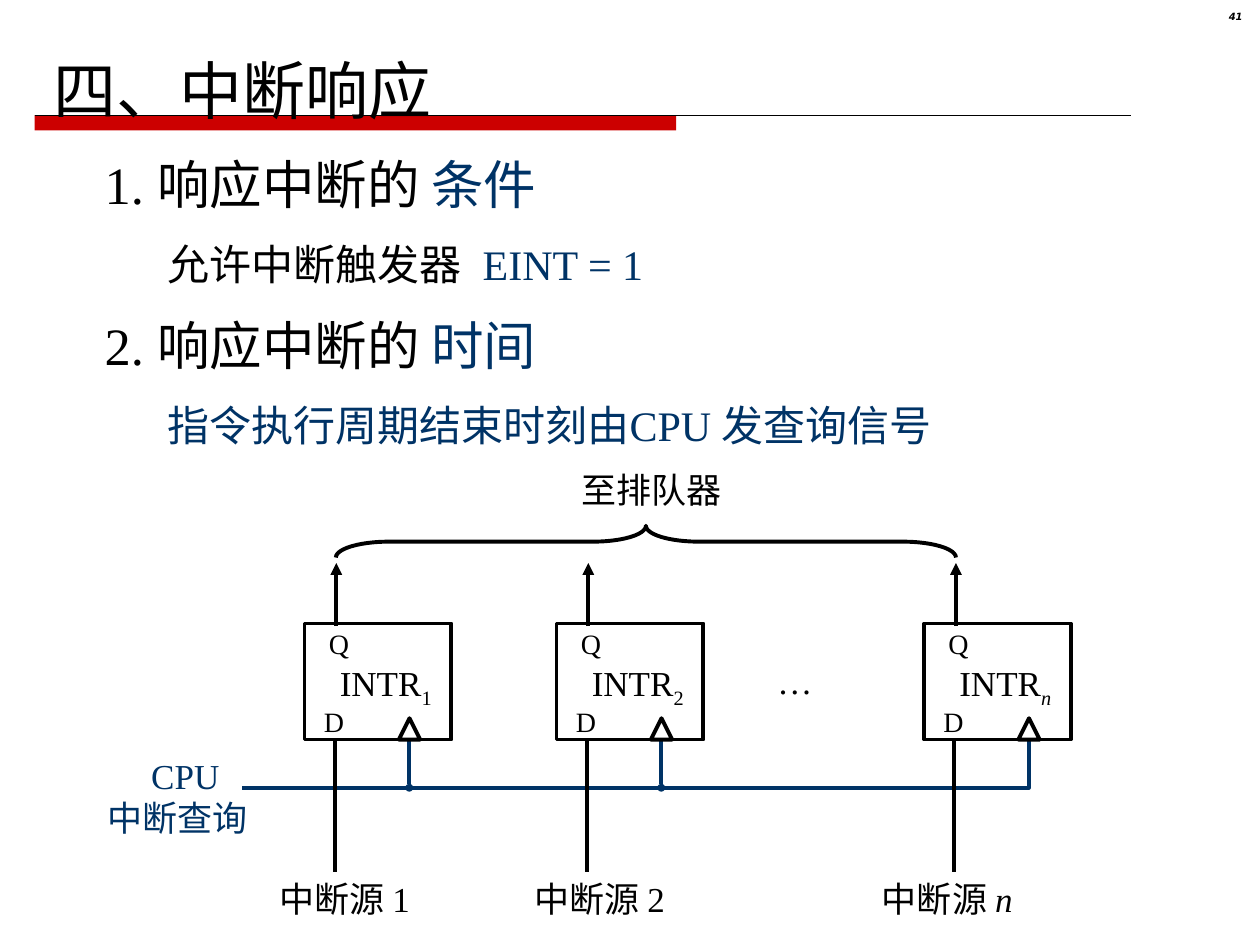
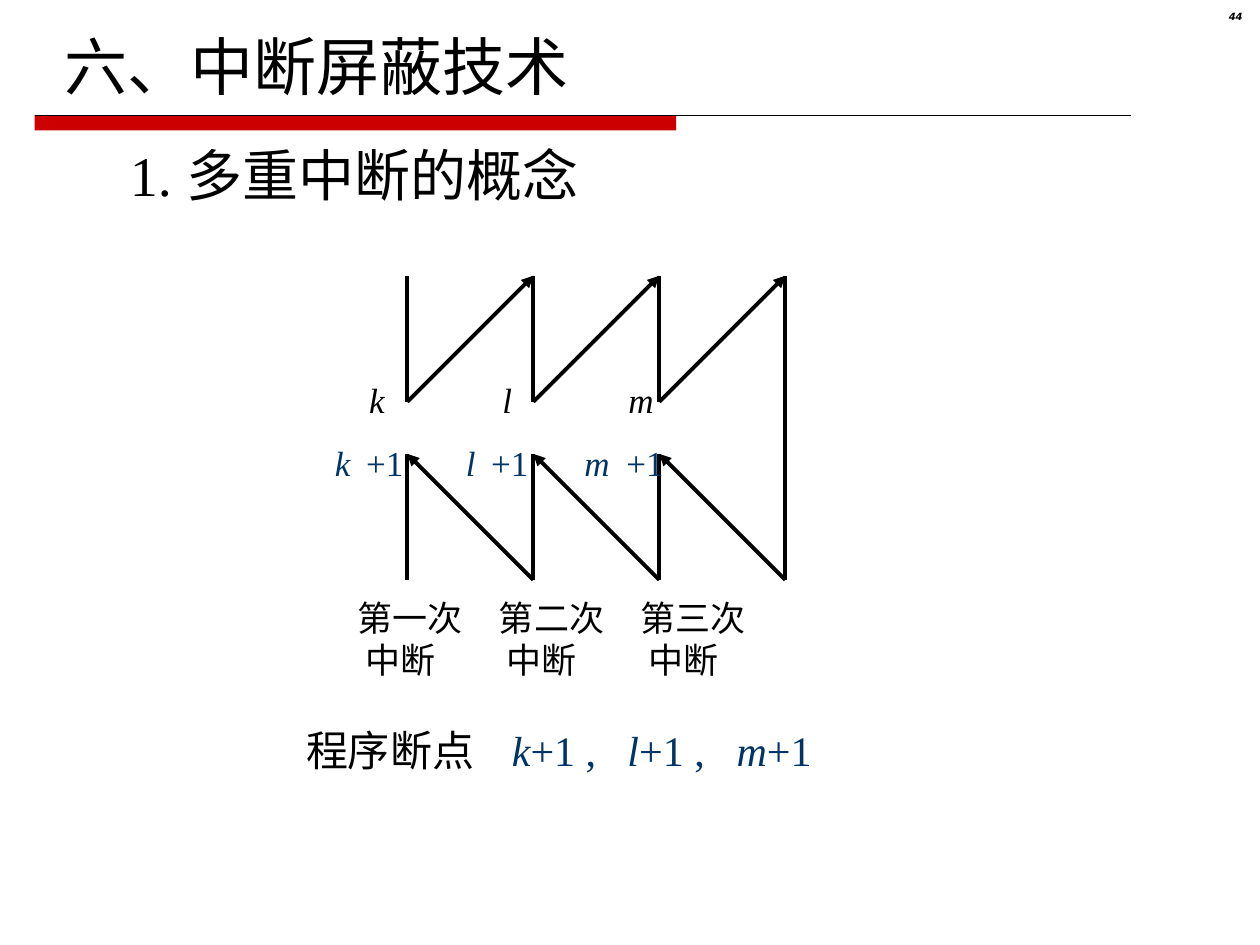
import pptx
import pptx.util
import pptx.dml.color
import pptx.enum.shapes
import pptx.enum.text
import pptx.oxml.ns
from lxml import etree

Cm = pptx.util.Cm
Pt = pptx.util.Pt
RGBColor = pptx.dml.color.RGBColor
MSO_SHAPE = pptx.enum.shapes.MSO_SHAPE
PP_ALIGN = pptx.enum.text.PP_ALIGN
qn = pptx.oxml.ns.qn

COLORS = {"ink": "000000", "accent": "003366", "band": "CC0000"}
FONT = "Times New Roman"
LINE_WIDTH = 2.25


def write(shape, box, lines, size, tabs=()):
    shape.left, shape.top, shape.width, shape.height = [Cm(length) for length in box]
    frame = shape.text_frame
    frame.auto_size = pptx.enum.text.MSO_AUTO_SIZE.NONE
    frame.word_wrap = bool(tabs) or shape.is_placeholder
    if shape.is_placeholder:
        frame.margin_left = frame.margin_right = frame.margin_top = frame.margin_bottom = 0
        frame.vertical_anchor = pptx.enum.text.MSO_ANCHOR.MIDDLE
    for index, line in enumerate(lines):
        paragraph = frame.add_paragraph() if index else frame.paragraphs[0]
        properties = paragraph._p.get_or_add_pPr()
        if shape.is_placeholder:
            properties.set("marL", "0")
            properties.set("indent", "0")
            etree.SubElement(properties, qn("a:buNone"))
        if tabs:
            tab_list = etree.SubElement(properties, qn("a:tabLst"))
            for position in tabs:
                etree.SubElement(tab_list, qn("a:tab"), pos=str(Cm(position)), algn="l")
        paragraph.alignment = PP_ALIGN.LEFT
        paragraph.space_before = Pt(0)
        for text, color, style in line:
            run = paragraph.add_run()
            run.text = text
            run.font.name = FONT
            run.font.size = Pt(size)
            run.font.bold = False
            run.font.italic = "italic" in style
            run.font.color.rgb = RGBColor.from_string(COLORS[color])
            if "sub" in style:
                run.font._element.set("baseline", "-25000")


def connect(slide, start, end, color="ink", width=LINE_WIDTH, tail=None, tail_size="med"):
    points = [Cm(length) for length in (*start, *end)]
    connector = slide.shapes.add_connector(pptx.enum.shapes.MSO_CONNECTOR.STRAIGHT, *points)
    connector.line.color.rgb = RGBColor.from_string(COLORS[color])
    connector.line.width = Pt(width)
    properties = connector.element.spPr
    if tail:
        etree.SubElement(properties.find(qn("a:ln")), qn("a:tailEnd"),
                         type=tail, w=tail_size, len=tail_size)
    etree.SubElement(properties, qn("a:effectLst"))
    return connector


presentation = pptx.Presentation()
presentation.slide_width = Cm(25.4)
presentation.slide_height = Cm(19.05)
layout = presentation.slide_layouts[1]

slides = []
for title, title_box, number in [
    ("四、中断响应", (1.07, 1.07, 17.58, 1.47), "41"),
    ("六、中断屏蔽技术", (1.3, 0.43, 17.58, 1.78), "44"),
]:
    slide = presentation.slides.add_slide(layout)
    write(slide.shapes.title, title_box, [[(title, "ink", "")]], 36)
    number_box = slide.shapes.add_textbox(0, 0, 0, 0)
    write(number_box, (23.8, 0.13, 1.5, 0.58), [[(number, "ink", "italic")]], 5.7)
    number_box.text_frame.word_wrap = True
    paragraph = number_box.text_frame.paragraphs[0]
    paragraph.alignment = PP_ALIGN.RIGHT
    paragraph.line_spacing = 0.8
    paragraph.runs[0].font.name = "DejaVu Sans"
    paragraph.runs[0].font.bold = True
    slides.append(slide)

response_slide, masking_slide = slides

band = response_slide.shapes.add_shape(MSO_SHAPE.RECTANGLE, Cm(0.7), Cm(2.32), Cm(12.93), Cm(0.31))
band.shadow.inherit = False
band.fill.solid()
band.fill.fore_color.rgb = RGBColor.from_string(COLORS["band"])
band.line.fill.background()
rule = connect(response_slide, (0.7, 2.32), (22.8, 2.32), width=0.25)
for shape in (band, rule):
    layout.shapes.element.append(shape.element)

slide = response_slide
body = slide.placeholders[1]
write(body, (2.11, 2.97, 20.32, 6.2), [
    [("1. 响应中断的 ", "ink", ""), ("条件", "accent", "")],
    [("\t允许中断触发器\t", "ink", ""), ("EINT = 1", "accent", "")],
    [("2. 响应中断的 ", "ink", ""), ("时间", "accent", "")],
    [("\t指令执行周期结束时刻由CPU 发查询信号", "accent", "")],
], 30, (1.07, 7.77))
for paragraph in body.text_frame.paragraphs[1:]:
    paragraph.space_before = Pt(13.5)
for paragraph in body.text_frame.paragraphs[1::2]:
    for run in paragraph.runs:
        run.font.size = Pt(24)

box_top, box_width, box_height = 12.57, 2.96, 2.34
box_bottom = box_top + box_height
bus_y = 15.88
clock_offset = 2.11
flip_flops = [(6.14, "1", "", 5.38), (11.22, "2", "", 10.52), (18.63, "n", "italic", 17.53)]

last_clock = flip_flops[-1][0] + clock_offset
builder = slide.shapes.build_freeform(Cm(4.88), Cm(bus_y))
builder.add_line_segments([(Cm(last_clock), Cm(bus_y)), (Cm(last_clock), Cm(box_bottom))], close=False)
query_bus = builder.convert_to_shape()
brace = slide.shapes.add_shape(MSO_SHAPE.LEFT_BRACE, Cm(12.7), Cm(4.67), Cm(0.64), Cm(12.5))
brace.rotation = 90
brace.adjustments[0] = 1.67
outlines = [(query_bus, "accent"), (brace, "ink")]

for index, (left, name, style, source_left) in enumerate(flip_flops):
    connect(slide, (left + 0.64, box_top + 0.05), (left + 0.64, 11.35), tail="triangle")
    if index < 2:
        clock_x = left + clock_offset
        connect(slide, (clock_x, box_bottom), (clock_x, bus_y), "accent", tail="oval", tail_size="sm")
    flip_flop = slide.shapes.add_shape(
        MSO_SHAPE.RECTANGLE, Cm(left), Cm(box_top), Cm(box_width), Cm(box_height))
    clock_mark = slide.shapes.add_shape(
        MSO_SHAPE.ISOSCELES_TRIANGLE, Cm(left + 1.9), Cm(box_bottom - 0.43), Cm(0.43), Cm(0.43))
    outlines += [(flip_flop, "ink"), (clock_mark, "ink")]
    connect(slide, (left + 0.61, box_bottom), (left + 0.61, 17.57))
    for box, runs, size in [
        ((left + 0.46, 13.21, 2.36, 1.22), [("INTR", "ink", ""), (name, "ink", style + "sub")], 20),
        ((left + 0.14, 14.07, 0.91, 0.94), [("D", "ink", "")], 16),
        ((left + 0.24, 12.5, 0.91, 0.94), [("Q", "ink", "")], 16),
        ((source_left, 17.56, 3.3, 1.12), [("中断源 ", "ink", ""), (name, "ink", style)], 20),
    ]:
        write(slide.shapes.add_textbox(0, 0, 0, 0), box, [runs], size)

for shape, color in outlines:
    shape.shadow.inherit = False
    shape.fill.background()
    shape.line.color.rgb = RGBColor.from_string(COLORS[color])
    shape.line.width = Pt(LINE_WIDTH)

write(slide.shapes.add_textbox(0, 0, 0, 0), (1.92, 15.09, 3.6, 1.96),
      [[("\tCPU", "accent", "")], [("中断查询", "accent", "")]], 20, (0.88,))
write(slide.shapes.add_textbox(0, 0, 0, 0), (15.42, 13.18, 1.22, 1.12), [[("…", "ink", "")]], 20)
write(slide.shapes.add_textbox(0, 0, 0, 0), (11.48, 9.32, 3.33, 1.12), [[("至排队器", "ink", "")]], 20)

slide = masking_slide
write(slide.placeholders[1], (2.62, 2.92, 17.58, 1.19), [[("1. 多重中断的概念", "ink", "")]], 32)

step = 2.54
first_x = 8.21
call_top, call_bottom = 5.56, 8.1
return_top, return_bottom = 9.15, 11.69
for index, (name, label_left, label_width, return_left, return_width, tab, ordinal) in enumerate([
    ("k", 7.19, 0.81, 6.5, 2.2, 0.63, "第一次"),
    ("l", 9.88, 0.69, 9.14, 2.1, 0.51, "第二次"),
    ("m", 12.42, 1.02, 11.53, 2.4, 0.85, "第三次"),
]):
    x = first_x + index * step
    connect(slide, (x, call_top), (x, call_bottom))
    connect(slide, (x, call_bottom), (x + step, call_top), tail="triangle")
    connect(slide, (x + step, return_bottom), (x, return_top), tail="triangle")
    connect(slide, (x, return_top), (x, return_bottom))
    write(slide.shapes.add_textbox(0, 0, 0, 0), (label_left, 7.5, label_width, 1.12),
          [[(name, "ink", "italic")]], 20)
    write(slide.shapes.add_textbox(0, 0, 0, 0), (return_left, 8.77, return_width, 1.12),
          [[(name, "accent", "italic"), ("\t+1", "accent", "")]], 20, (tab,))
    write(slide.shapes.add_textbox(0, 0, 0, 0), (6.96 + index * 2.85, 11.9, 2.62, 1.96),
          [[(ordinal, "ink", "")], [(" 中断", "ink", "")]], 20)

last_x = first_x + 3 * step
connect(slide, (last_x, call_top), (last_x, return_bottom))

write(slide.shapes.add_textbox(0, 0, 0, 0), (5.92, 14.49, 12.24, 1.27), [[
    ("程序断点\t", "ink", ""),
    ("k", "accent", "italic"), ("+1 ,\t", "accent", ""),
    ("l", "accent", "italic"), ("+1 ,\t", "accent", ""),
    ("m", "accent", "italic"), ("+1", "accent", ""),
]], 24, (4.15, 6.48, 8.68))

presentation.save("out.pptx")
